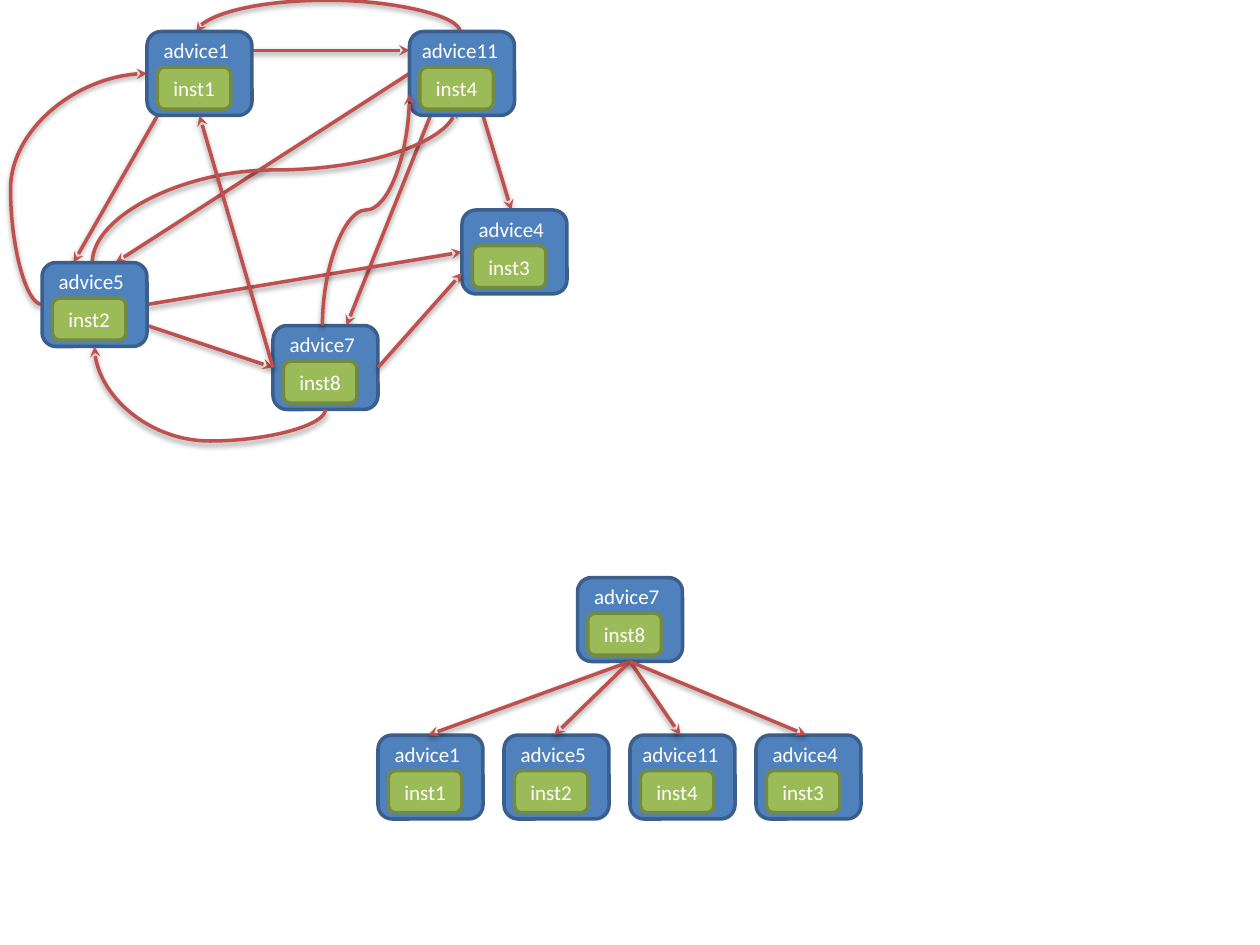
from dataclasses import dataclass
from lxml.etree import SubElement
from pptx import Presentation
from pptx.dml.color import RGBColor as RGB
from pptx.enum.shapes import MSO_CONNECTOR as LINK, MSO_SHAPE as SHAPE
from pptx.enum.text import MSO_ANCHOR as ANCHOR, PP_ALIGN as ALIGN
from pptx.oxml import parse_xml
from pptx.oxml.ns import nsdecls, qn
from pptx.util import Inches, Pt


@dataclass(frozen=True)
class Theme:
    advice: str = "4F81BD"
    advice_edge: str = "3A5F8C"
    inst: str = "9BBB59"
    inst_edge: str = "738A42"
    arrow: str = "C0504D"
    text: str = "FFFFFF"
    font: str = "Calibri"
    size: int = 12
    stroke: int = 2


THEME = Theme()
CELL = 1 / 12  # the slide is a grid of 120 columns by 90 rows
NODE = (10, 8)
SHADOW = (
    f'<a:effectLst {nsdecls("a")}>'
    '<a:outerShdw blurRad="40000" dist="20000" dir="5400000" rotWithShape="0">'
    '<a:srgbClr val="000000"><a:alpha val="38000"/></a:srgbClr>'
    '</a:outerShdw></a:effectLst>'
)

# Name, instance, column, row
NETWORK = [
    ("advice1", "inst1", 14, 3),
    ("advice4", "inst3", 44, 20),
    ("advice5", "inst2", 4, 25),
    ("advice7", "inst8", 26, 31),
    ("advice11", "inst4", 39, 3),
]
ROOT = ("advice7", "inst8", 55, 55)
LEAVES = [("advice1", "inst1"), ("advice5", "inst2"),
          ("advice11", "inst4"), ("advice4", "inst3")]
LEAF_COL, LEAF_ROW, LEAF_STEP = 36, 70, 12

# Start, end; curves add the bend position and whether they leave vertically
ARROWS_BEHIND = [
    ((15, 11), (7, 25)),
    ((23.2, 4.8), (39, 4.8)),
    ((43.8, 3), (18.7, 3.1), 0, True),
    ((39, 7), (11, 25)),
    ((41, 11), (33, 31)),
    ((46, 11), (48.7, 20)),
    ((4, 29), (14, 7), 1, False),
    ((8.8, 25), (43.4, 10.3), 16.2, True),
    ((14, 31), (26, 35)),
    ((14, 29), (44, 24)),
]
ARROWS_IN_FRONT = [
    ((31, 39), (9, 33), 42, True),
    ((26, 35), (19, 11)),
    ((30.7, 31), (39, 9), 20, True),
    ((36, 35), (44, 26)),
]


def cells(*values):
    return [Inches(value * CELL) for value in values]


def apply(target, formats):
    for name, value in formats.items():
        setattr(target, name, value)


def write(frame, words, align, formats):
    apply(frame, formats)
    line = frame.paragraphs[0]
    line.alignment = align
    run = line.add_run()
    run.text = words
    apply(run.font, {"name": THEME.font, "size": Pt(THEME.size)})
    run.font.color.rgb = RGB.from_string(THEME.text)


def add_block(group, place, fill, edge):
    block = group.shapes.add_shape(SHAPE.ROUNDED_RECTANGLE, *cells(*place))
    block.shadow.inherit = False
    block.fill.solid()
    block.fill.fore_color.rgb = RGB.from_string(fill)
    block.line.color.rgb = RGB.from_string(edge)
    block.line.width = Pt(THEME.stroke)
    return block


def add_node(slide, advice, inst, col, row):
    node = slide.shapes.add_group_shape()
    add_block(node, (col, row, *NODE), THEME.advice, THEME.advice_edge)
    inner = add_block(node, (col + 1, row + 3.4, 7, 4), THEME.inst, THEME.inst_edge)
    write(inner.text_frame, inst, ALIGN.CENTER,
          {"vertical_anchor": ANCHOR.MIDDLE, "word_wrap": True})
    # Longer names start at the edge of the block
    indent, width = (0, 9.7) if len(advice) > 7 else (0.4, 8.8)
    title = node.shapes.add_textbox(*cells(col + indent, row, width, 3.6))
    write(title.text_frame, advice, ALIGN.LEFT, {"word_wrap": False})


def add_arrow(slide, start, end, bend=None, vertical=False):
    (x0, y0), (x1, y1) = start, end
    ends = (x0, y0, x1, y1)
    if vertical:
        # A quarter turn about the centre makes the curve leave vertically
        cx, cy, dx, dy = (x0 + x1) / 2, (y0 + y1) / 2, x1 - x0, y1 - y0
        ends = (cx - dy / 2, cy + dx / 2, cx + dy / 2, cy - dx / 2)
    kind = LINK.STRAIGHT if bend is None else LINK.CURVE
    arrow = slide.shapes.add_connector(kind, *cells(*ends))
    arrow.line.color.rgb = RGB.from_string(THEME.arrow)
    arrow.line.width = Pt(THEME.stroke)
    props = arrow.element.spPr
    SubElement(props.find(qn("a:ln")), qn("a:tailEnd"), type="stealth")
    props.append(parse_xml(SHADOW))
    if vertical:
        props.find(qn("a:xfrm")).set("rot", "5400000")
    if bend is not None:
        share = (bend - y0) / (y1 - y0) if vertical else (bend - x0) / (x1 - x0)
        guides = props.find(qn("a:prstGeom")).get_or_add_avLst()
        SubElement(guides, qn("a:gd"), name="adj1", fmla=f"val {round(share * 100000)}")


def add_network(slide):
    for arrow in ARROWS_BEHIND:
        add_arrow(slide, *arrow)
    for node in NETWORK:
        add_node(slide, *node)
    for arrow in ARROWS_IN_FRONT:
        add_arrow(slide, *arrow)


def add_tree(slide):
    columns = [LEAF_COL + i * LEAF_STEP for i in range(len(LEAVES))]
    add_node(slide, *ROOT)
    for leaf, col in zip(LEAVES, columns):
        add_node(slide, *leaf, col, LEAF_ROW)
    foot = (ROOT[2] + NODE[0] / 2, ROOT[3] + NODE[1])
    for col in columns:
        add_arrow(slide, foot, (col + 4.8, LEAF_ROW))


def main():
    deck = Presentation()
    apply(deck, {"slide_width": Inches(10), "slide_height": Inches(7.5)})
    slide = deck.slides.add_slide(deck.slide_layouts[6])
    add_network(slide)
    add_tree(slide)
    deck.save("out.pptx")


main()
